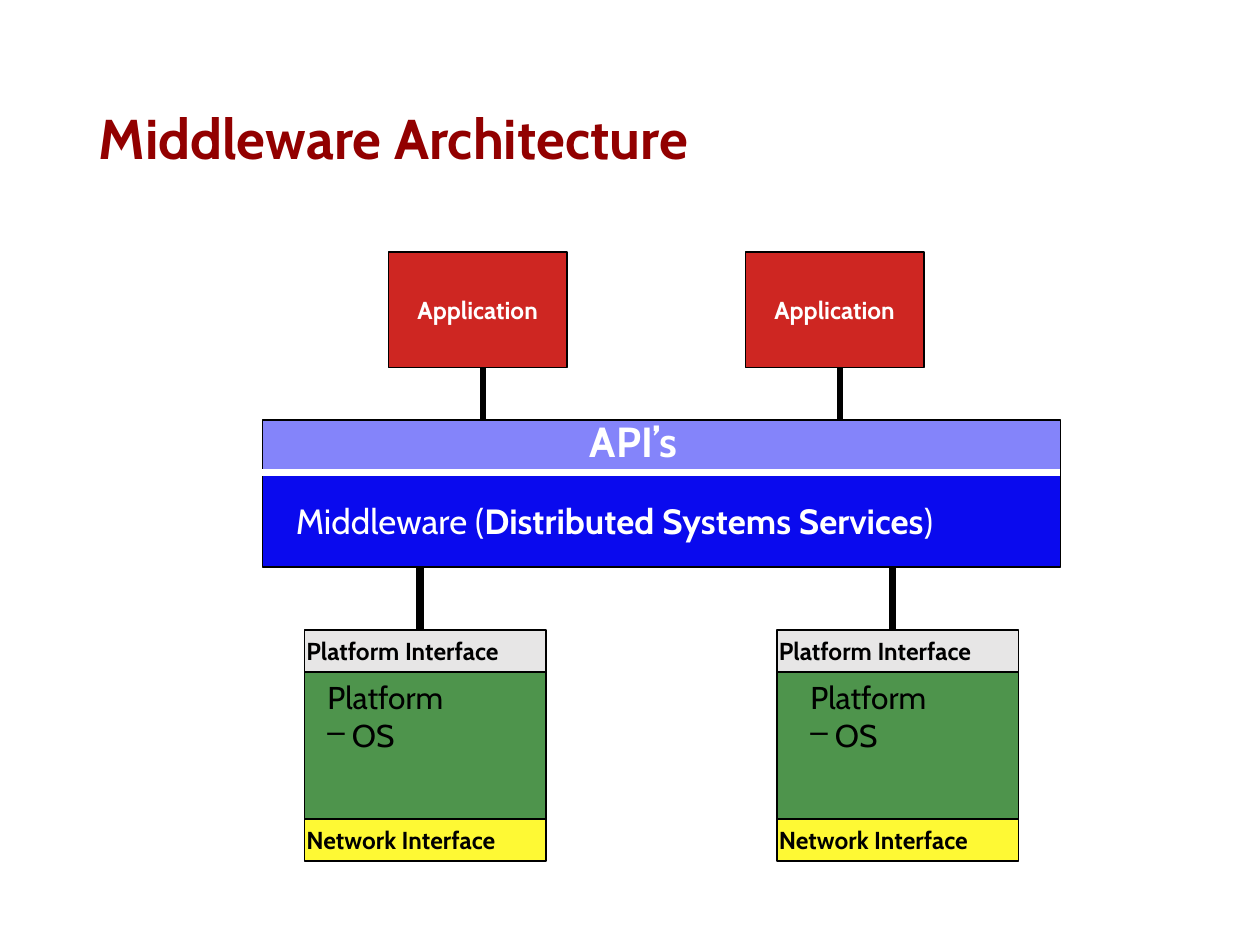
from dataclasses import dataclass

from lxml import etree
from pptx import Presentation
from pptx import util as u
from pptx.dml.color import RGBColor
from pptx.enum import shapes, text
from pptx.oxml.ns import qn

CELL = u.Inches(1) / 12


@dataclass(frozen=True)
class Theme:
    font: str = "Cabin"
    title: str = "920000"
    ink: str = "000000"
    light: str = "FFFFFF"
    app: str = "CE2622"
    api: str = "8484FA"
    middleware: str = "0A0AEE"
    interface: str = "E7E6E6"
    platform: str = "4E944C"
    network: str = "FEF934"
    title_size: int = 32
    api_size: int = 24
    middleware_size: int = 20
    platform_size: int = 18
    label_size: int = 14
    outline: float = 0.75


T = Theme()


def grid(*cells):
    return [u.Emu(round(c * CELL)) for c in cells]


def rgb(value):
    return RGBColor.from_string(value)


def write(sp, paragraphs, size=T.label_size, color=T.ink, bold=False, align=None,
          anchor=text.MSO_ANCHOR.TOP, spacing=None, bullets=()):
    tf = sp.text_frame
    tf.word_wrap = True
    tf.vertical_anchor = anchor
    for i, runs in enumerate(paragraphs):
        p = tf.paragraphs[0] if i == 0 else tf.add_paragraph()
        p.alignment = align
        p.line_spacing = spacing
        if i in bullets:
            pPr = p._p.get_or_add_pPr()
            etree.SubElement(pPr, qn("a:buChar"), char="–")
        for content, strong in runs:
            r = p.add_run()
            r.text = content
            f = r.font
            f.name, f.size, f.bold = T.font, u.Pt(size), bold or strong
            f.color.rgb = rgb(color)


def add_label(s, box, *paragraphs, **fmt):
    sp = s.shapes.add_textbox(*grid(*box))
    write(sp, [[(p, False)] if isinstance(p, str) else p for p in paragraphs], **fmt)


def add_block(s, box, fill):
    sp = s.shapes.add_shape(shapes.MSO_SHAPE.RECTANGLE, *grid(*box))
    sp.shadow.inherit = False
    sp.fill.solid()
    sp.fill.fore_color.rgb = rgb(fill)
    sp.line.color.rgb = rgb(T.ink)
    sp.line.width = u.Pt(T.outline)
    return sp


def add_line(s, start, end, width, color=T.ink):
    ln = s.shapes.add_connector(shapes.MSO_CONNECTOR.STRAIGHT, *grid(*start, *end))
    ln.line.color.rgb = rgb(color)
    ln.line.width = u.Pt(width)
    etree.SubElement(ln._element.spPr, qn("a:effectLst"))


def add_middleware(s):
    left, width = 25, 76
    add_block(s, (left, 40, width, 6), T.api)
    add_block(s, (left, 45, width, 9), T.middleware)
    add_label(s, (27, 47, 71, 5),
              [("Middleware (", False), ("Distributed Systems Services", True), (")", False)],
              size=T.middleware_size, color=T.light)
    add_line(s, (left, 45), (left + width, 45), 4.5, T.light)
    add_label(s, (55, 39, 13, 6), "API’s", size=T.api_size, color=T.light, bold=True)


def add_application(s, left):
    add_line(s, (left + 9, 40), (left + 9, 35), 3)
    sp = add_block(s, (left, 24, 17, 11), T.app)
    write(sp, [[("Application", False)]], color=T.light, bold=True,
          align=text.PP_ALIGN.CENTER, anchor=text.MSO_ANCHOR.MIDDLE)


def add_platform(s, left, indent):
    width = 23
    add_block(s, (left, 60, width, 4), T.interface)
    add_block(s, (left, 64, width, 14), T.platform)
    add_block(s, (left, 78, width, 4), T.network)
    add_label(s, (left + indent, 64, 21, 14), "Platform", " OS",
              size=T.platform_size, bullets=(1,))
    for top, name in ((60, "Platform Interface"), (78, "Network Interface")):
        add_label(s, (left - 1, top, width + 1, 4), name, bold=True)
    add_line(s, (left + 11, 60), (left + 11, 54), 4.5)


def main():
    prs = Presentation()
    prs.slide_width, prs.slide_height = u.Inches(10), u.Inches(7.5)
    s = prs.slides.add_slide(prs.slide_layouts[6])
    add_label(s, (8.25, 4.8, 103.5, 17.4), "Middleware Architecture", size=T.title_size,
              color=T.title, bold=True, anchor=text.MSO_ANCHOR.MIDDLE, spacing=0.9)
    add_middleware(s)
    for left, indent in ((29, 1), (74, 2)):
        add_platform(s, left, indent)
    for left in (37, 71):
        add_application(s, left)
    prs.save("out.pptx")


if __name__ == "__main__":
    main()
